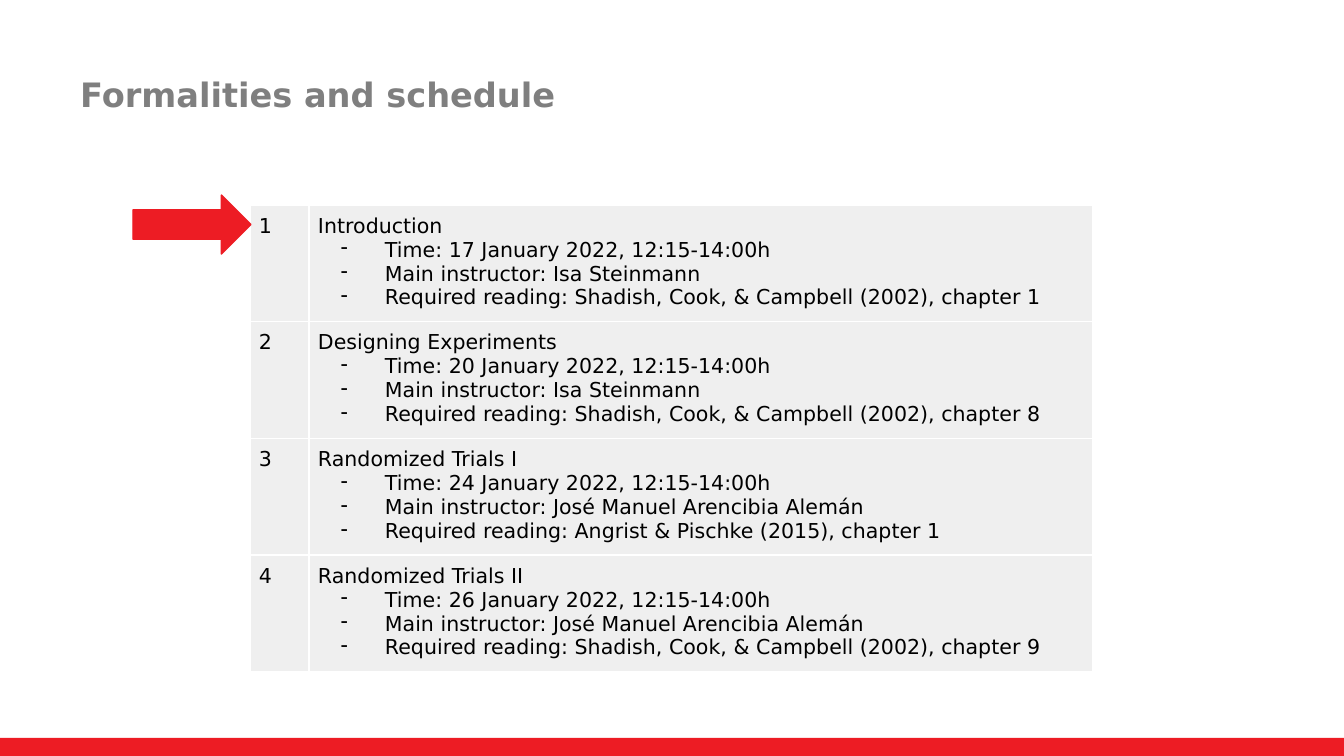
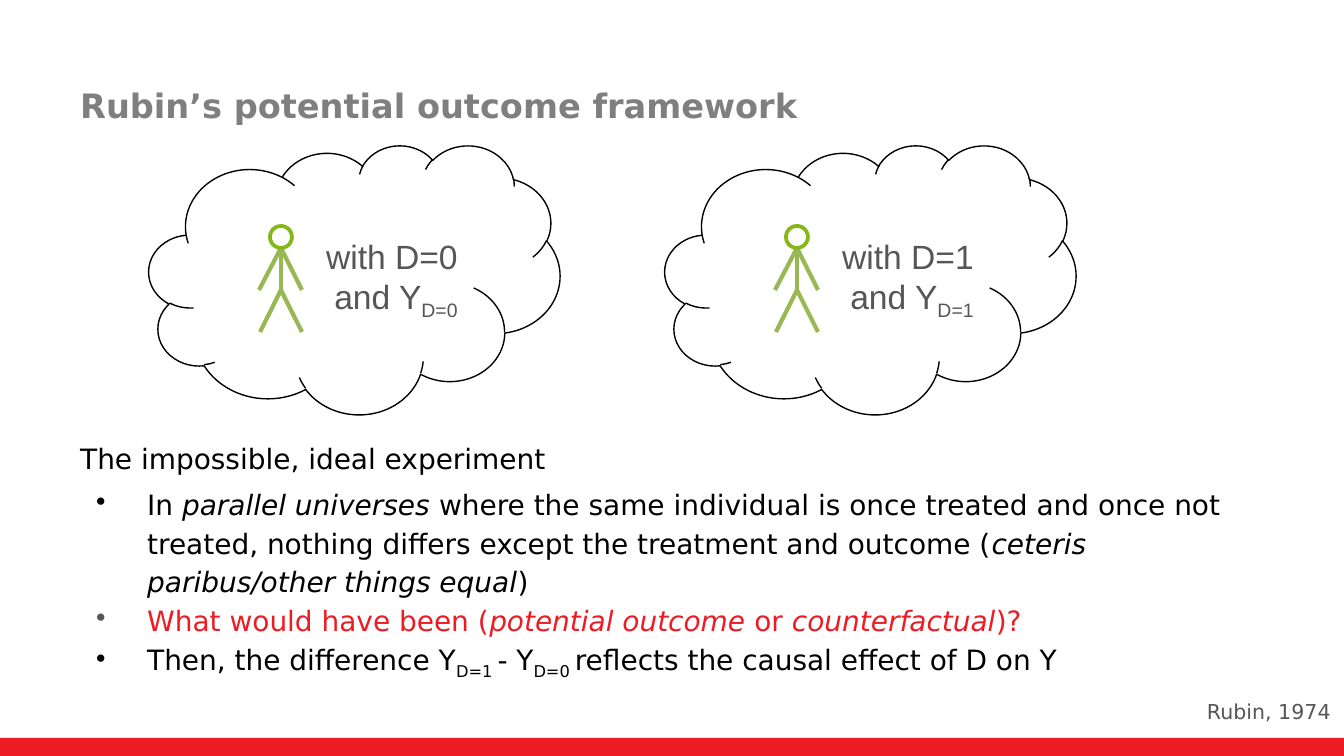
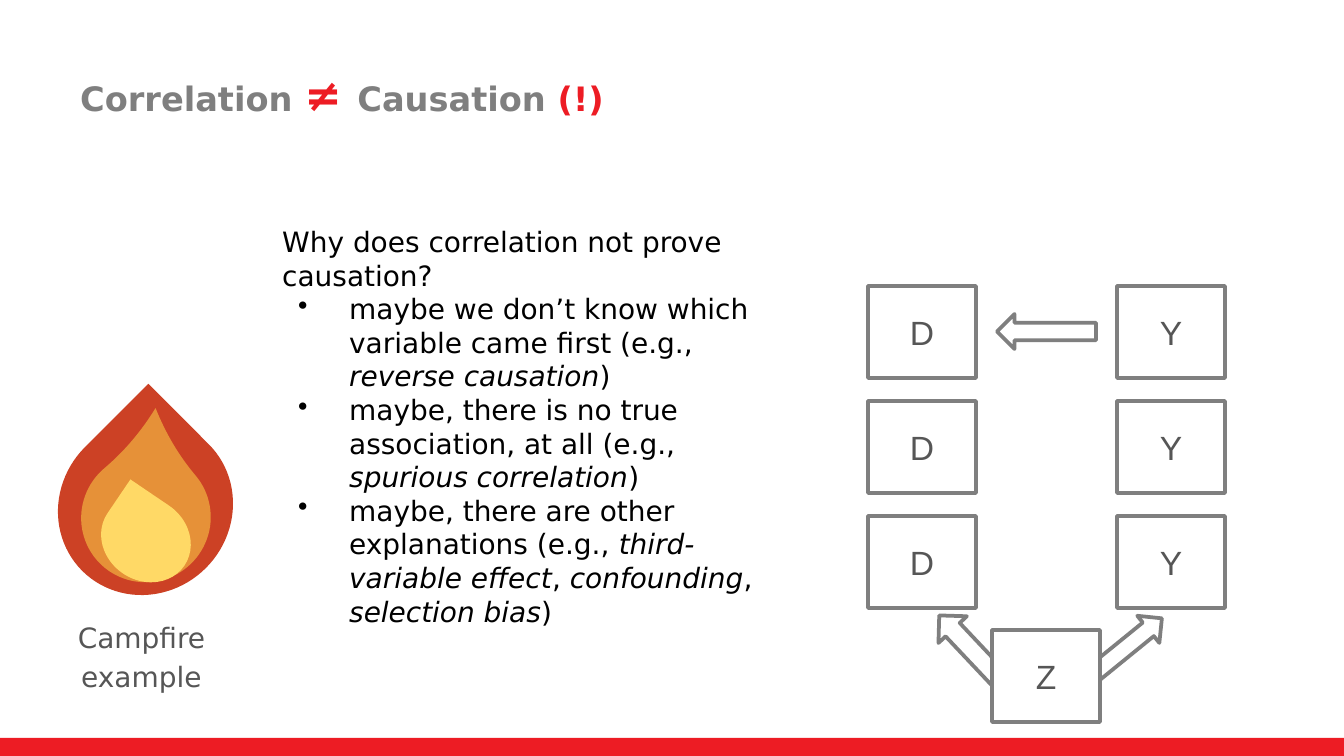
from dataclasses import dataclass

from lxml.etree import SubElement
from pptx import Presentation
from pptx.dml.color import RGBColor
from pptx.enum.shapes import MSO_CONNECTOR, MSO_SHAPE as Preset
from pptx.enum.text import MSO_ANCHOR as Anchor, PP_ALIGN as Align
from pptx.oxml.ns import qn
from pptx.util import Pt

PX = 6804  # EMU in one px, at 134.4 px to the inch


@dataclass(frozen=True)
class Theme:
    red: str = "ED1C24"
    title_gray: str = "7F7F7F"
    text_gray: str = "565656"
    black: str = "000000"
    white: str = "FFFFFF"
    cell: str = "EFEFEF"
    limb: str = "97B853"
    head: str = "84B818"
    flame_outer: str = "CC4125"
    flame_middle: str = "E69138"
    flame_inner: str = "FFD966"
    font: str = "DejaVu Sans"
    diagram_font: str = "Arial"
    symbol_size: int = 24
    title_size: int = 18
    body_size: int = 15
    small_size: int = 11


THEME = Theme()
ITALIC = {"italic": True}
SUBSCRIPT = {"baseline": -25000}


def add_box(shapes, preset, left, top, width, height, fill=None, line=None,
            line_width=2, rotation=0, adjustment=None, anchor=Anchor.MIDDLE):
    """Add a preset shape, or a text box when preset is None."""
    bounds = [length * PX for length in (left, top, width, height)]
    if preset is None:
        shape = shapes.add_textbox(*bounds)
    else:
        shape = shapes.add_shape(preset, *bounds)
        shape.shadow.inherit = False
        if fill:
            shape.fill.solid()
            shape.fill.fore_color.rgb = RGBColor.from_string(fill)
        else:
            shape.fill.background()
        if line:
            shape.line.color.rgb = RGBColor.from_string(line)
            shape.line.width = Pt(line_width)
        else:
            shape.line.fill.background()
        if adjustment is not None:
            shape.adjustments[0] = adjustment
    shape.rotation = rotation
    shape.text_frame.word_wrap = True
    shape.text_frame.vertical_anchor = anchor
    return shape


def write(frame, text, size=THEME.body_size, color=THEME.black, font=THEME.font,
          bold=False, align=Align.LEFT, spacing=None, before=0,
          bullet=None, bullet_color=THEME.black, hanging=51):
    """Add a paragraph; text is a string or a list of strings and (string, format) pairs."""
    paragraph = frame.add_paragraph() if frame.text else frame.paragraphs[0]
    paragraph.alignment = align
    paragraph.line_spacing = spacing
    paragraph.space_before = Pt(before)
    if bullet:
        properties = paragraph._p.get_or_add_pPr()
        properties.set("marL", str(67 * PX))
        properties.set("indent", str(-hanging * PX))
        SubElement(SubElement(properties, qn("a:buClr")), qn("a:srgbClr"), val=bullet_color)
        SubElement(properties, qn("a:buChar"), char=bullet)
    for part in [text] if isinstance(text, str) else text:
        words, changes = (part, {}) if isinstance(part, str) else part
        run = paragraph.add_run()
        run.text = words
        run.font.name = font
        run.font.size = Pt(changes.get("size", size))
        run.font.color.rgb = RGBColor.from_string(changes.get("color", color))
        run.font.bold = bold
        run.font.italic = changes.get("italic", False)
        if "baseline" in changes:
            run._r.get_or_add_rPr().set("baseline", str(changes["baseline"]))


presentation = Presentation()
presentation.slide_width, presentation.slide_height = 1344 * PX, 756 * PX

# Titles and bottom bands
titles = [
    (31, "Formalities and schedule"),
    (42, "Rubin’s potential outcome framework"),
    (31, ["Correlation ", ("≠ ", {"size": THEME.symbol_size, "color": THEME.red}),
          "Causation ", ("(!)", {"color": THEME.red})]),
]
slides = []
for top, title in titles:
    slide = presentation.slides.add_slide(presentation.slide_layouts[6])
    add_box(slide.shapes, Preset.RECTANGLE, 0, 738, 1344, 18, fill=THEME.red)
    title_box = add_box(slide.shapes, None, 67, top, 1028, 126)
    write(title_box.text_frame, title, size=THEME.title_size, color=THEME.title_gray, bold=True)
    slides.append(slide)
schedule_slide, rubin_slide, causation_slide = slides

# Schedule
sessions = [
    ("Introduction", "17 January", "Isa Steinmann", "Shadish, Cook, & Campbell (2002), chapter 1"),
    ("Designing Experiments", "20 January", "Isa Steinmann",
     "Shadish, Cook, & Campbell (2002), chapter 8"),
    ("Randomized Trials I", "24 January", "José Manuel Arencibia Alemán",
     "Angrist & Pischke (2015), chapter 1"),
    ("Randomized Trials II", "26 January", "José Manuel Arencibia Alemán",
     "Shadish, Cook, & Campbell (2002), chapter 9"),
]
row_height = 114
table = schedule_slide.shapes.add_table(
    len(sessions), 2, 250 * PX, 205 * PX, 843 * PX, len(sessions) * row_height * PX).table
table.first_row = table.horz_banding = False
table.columns[0].width, table.columns[1].width = 59 * PX, 784 * PX
for number, (topic, day, instructor, reading) in enumerate(sessions, start=1):
    row = table.rows[number - 1]
    row.height = row_height * PX
    for cell in row.cells:
        cell.margin_left = cell.margin_right = cell.margin_top = cell.margin_bottom = 9 * PX
        for side in ("a:lnL", "a:lnR", "a:lnT", "a:lnB"):
            border = SubElement(cell._tc.get_or_add_tcPr(), qn(side), w=str(Pt(1)))
            border_fill = SubElement(border, qn("a:solidFill"))
            SubElement(border_fill, qn("a:srgbClr"), val=THEME.white)
        cell.fill.solid()
        cell.fill.fore_color.rgb = RGBColor.from_string(THEME.cell)
    number_cell, session_cell = row.cells
    write(number_cell.text_frame, str(number), size=THEME.small_size)
    write(session_cell.text_frame, topic, size=THEME.small_size)
    for detail in (f"Time: {day} 2022, 12:15-14:00h", f"Main instructor: {instructor}",
                   f"Required reading: {reading}"):
        write(session_cell.text_frame, detail, size=THEME.small_size, bullet="-", hanging=44)
add_box(schedule_slide.shapes, Preset.RIGHT_ARROW, 133, 195, 118, 59,
        fill=THEME.red, line=THEME.red, line_width=0.75)

# Two parallel universes
neck, hip = (281, 248), (281, 290)
limbs = [((260, 332), hip), ((302, 332), hip), (hip, neck), ((259, 290), neck), ((302, 290), neck)]
for shift, condition in ((0, "D=0"), (516, "D=1")):
    add_box(rubin_slide.shapes, Preset.CLOUD, 149 + shift, 145, 411, 269,
            line=THEME.black, line_width=0.75)
    person = rubin_slide.shapes.add_group_shape().shapes
    label = add_box(person, None, 238 + shift, 210, 233, 137).text_frame
    for line_text in (f"with {condition}", ["and Y", (condition, SUBSCRIPT)]):
        write(label, line_text, size=THEME.title_size, color=THEME.text_gray,
              font=THEME.diagram_font, align=Align.RIGHT)
    for (start_x, start_y), (end_x, end_y) in limbs:
        limb = person.add_connector(MSO_CONNECTOR.STRAIGHT, (start_x + shift) * PX, start_y * PX,
                                    (end_x + shift) * PX, end_y * PX)
        limb.line.color.rgb = RGBColor.from_string(THEME.limb)
        limb.line.width = Pt(2.25)
        SubElement(limb._element.spPr, qn("a:effectLst"))
    add_box(person, Preset.OVAL, 270 + shift, 226, 22, 22, line=THEME.head)

experiment = add_box(rubin_slide.shapes, None, 67, 430, 1210, 245, anchor=Anchor.TOP).text_frame
write(experiment, "The impossible, ideal experiment", spacing=1.15, before=4)
write(experiment, [
    "In ", ("parallel universes ", ITALIC),
    "where the same individual is once treated and once not treated, "
    "nothing differs except the treatment and outcome (",
    ("ceteris paribus/other things equal", ITALIC), ")",
], spacing=1.15, before=4, bullet="•")
write(experiment, [
    "What would have been (", ("potential outcome", ITALIC), " or ",
    ("counterfactual", ITALIC), ")?",
], color=THEME.red, spacing=1.15, bullet="•", bullet_color=THEME.text_gray)
write(experiment, [
    "Then, the difference Y", ("D=1 ", SUBSCRIPT), "- Y", ("D=0 ", SUBSCRIPT),
    "reflects the causal effect of D on Y",
], spacing=1.15, bullet="•")

source = add_box(rubin_slide.shapes, None, 903, 687, 441, 52, anchor=Anchor.TOP).text_frame
source.margin_top = source.margin_bottom = 13 * PX
write(source, "Rubin, 1974", size=THEME.small_size, color=THEME.text_gray, align=Align.RIGHT)

# Reasons why correlation is not causation
reasons = add_box(causation_slide.shapes, None, 269, 218, 519, 457, anchor=Anchor.TOP).text_frame
write(reasons, "Why does correlation not prove causation?")
for reason in (
    ["maybe we don’t know which variable came first (e.g., ", ("reverse causation", ITALIC), ")"],
    ["maybe, there is no true association, at all (e.g., ", ("spurious correlation", ITALIC), ")"],
    ["maybe, there are other explanations (e.g., ", ("third-variable effect", ITALIC), ", ",
     ("confounding", ITALIC), ", ", ("selection bias", ITALIC), ")"],
):
    write(reasons, reason, bullet="•")

# Campfire
for bounds, rotation, adjustment, color in (
    ((56, 422, 179, 171), 315, 1, THEME.flame_outer),
    ((81, 453, 130, 129), 319.8, 1.2, THEME.flame_middle),
    ((105, 493, 82, 93), 304.1, 1, THEME.flame_inner),
):
    add_box(causation_slide.shapes, Preset.TEAR, *bounds, fill=color,
            rotation=rotation, adjustment=adjustment)
campfire = add_box(causation_slide.shapes, None, 34, 609, 215, 79, anchor=Anchor.TOP)
write(campfire.text_frame, "Campfire example", color=THEME.text_gray,
      align=Align.CENTER, spacing=1.15, before=4)

# Causal diagrams
for bounds, rotation in (
    ((997, 314, 99, 35), 180),
    ((925, 629, 91, 39), 226.7),
    ((1074, 632, 99, 35), 320.9),
):
    add_box(causation_slide.shapes, Preset.RIGHT_ARROW, *bounds,
            line=THEME.title_gray, rotation=rotation)
variables = [(name, left, 286 + 115 * row, None)
             for row in range(3) for name, left in (("D", 868), ("Y", 1117))]
variables.append(("Z", 992, 630, THEME.white))
for name, left, top, fill in variables:
    variable = add_box(causation_slide.shapes, Preset.RECTANGLE, left, top, 108, 92,
                       fill=fill, line=THEME.title_gray)
    write(variable.text_frame, name, size=THEME.title_size, color=THEME.text_gray,
          font=THEME.diagram_font, align=Align.CENTER)

presentation.save("out.pptx")
